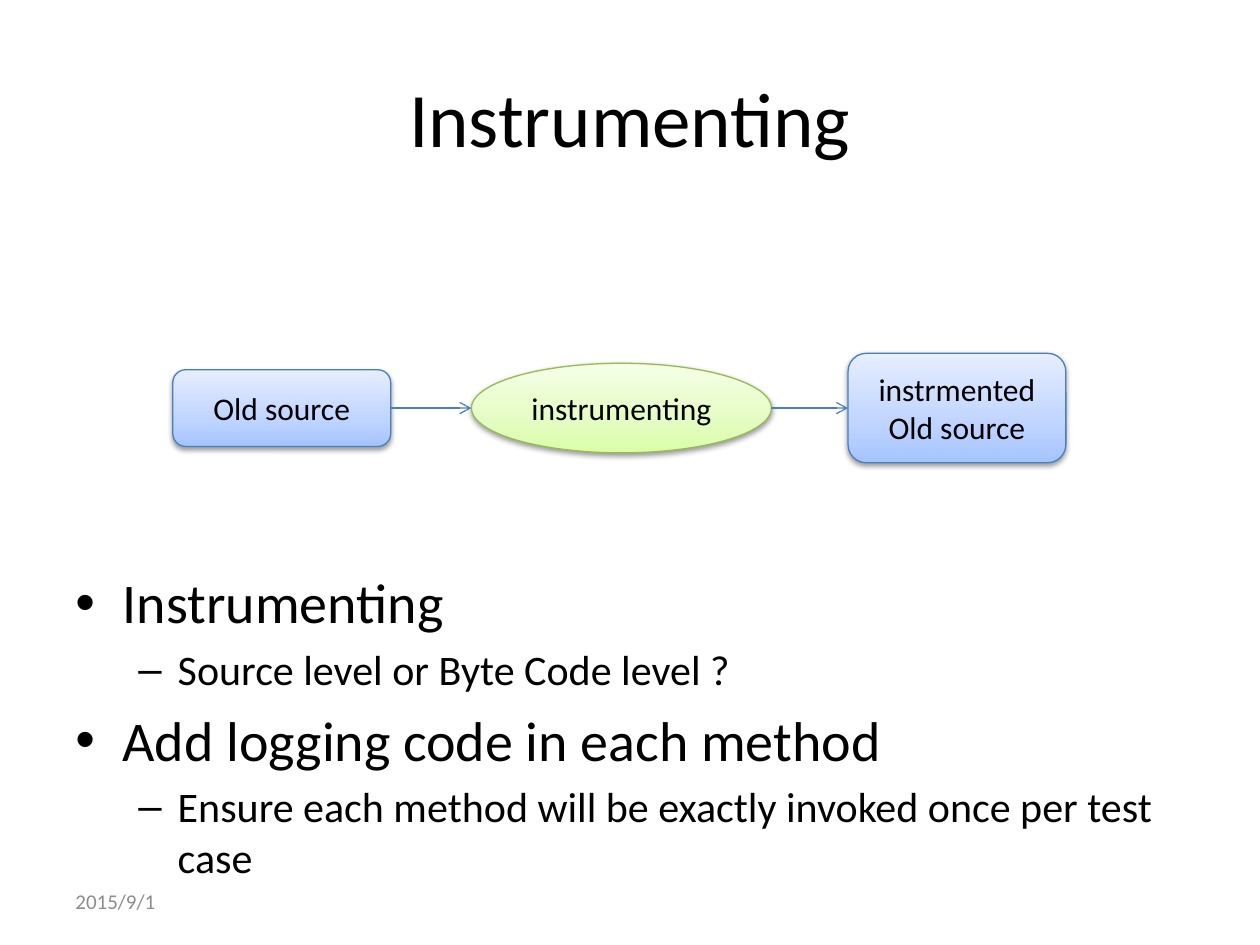
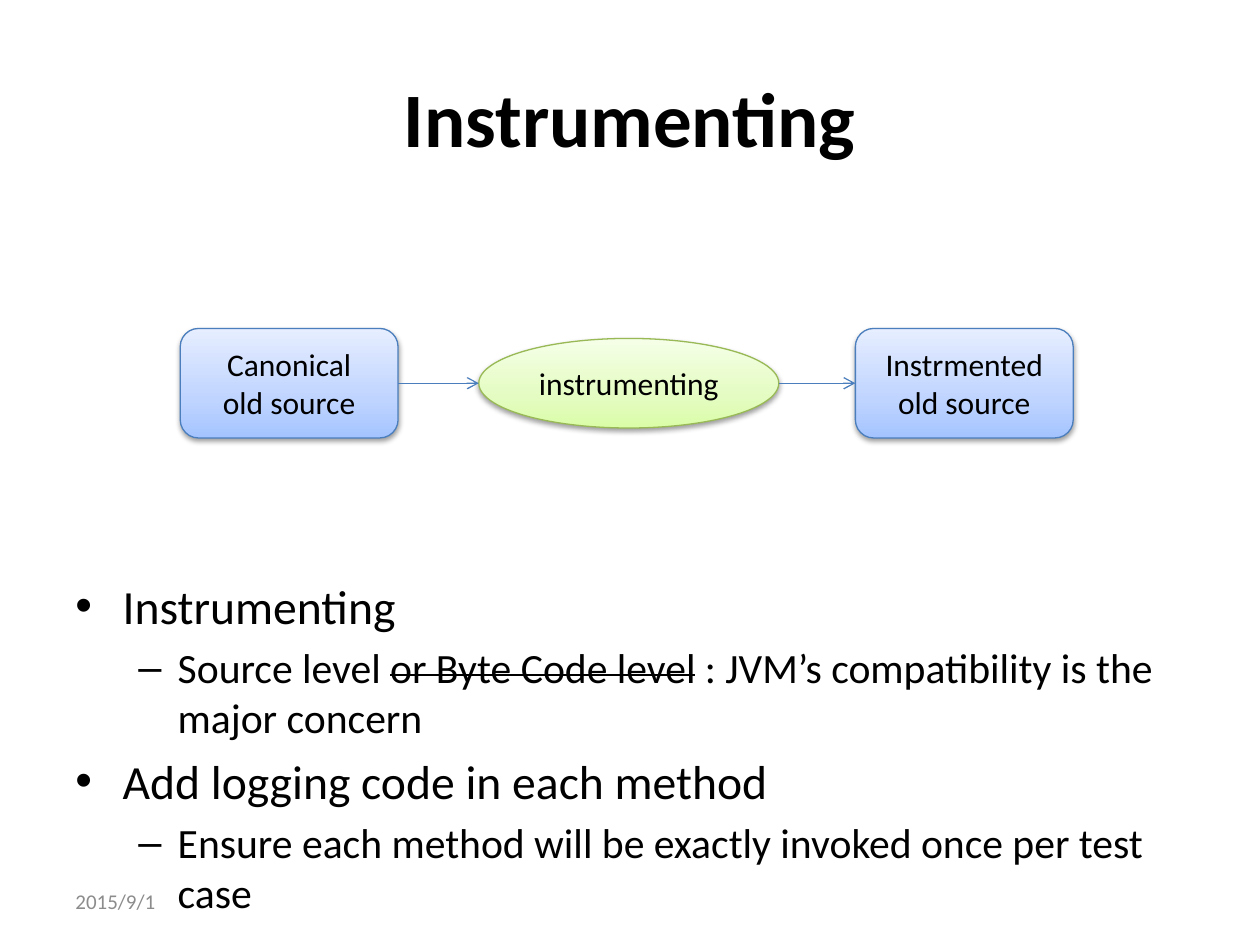
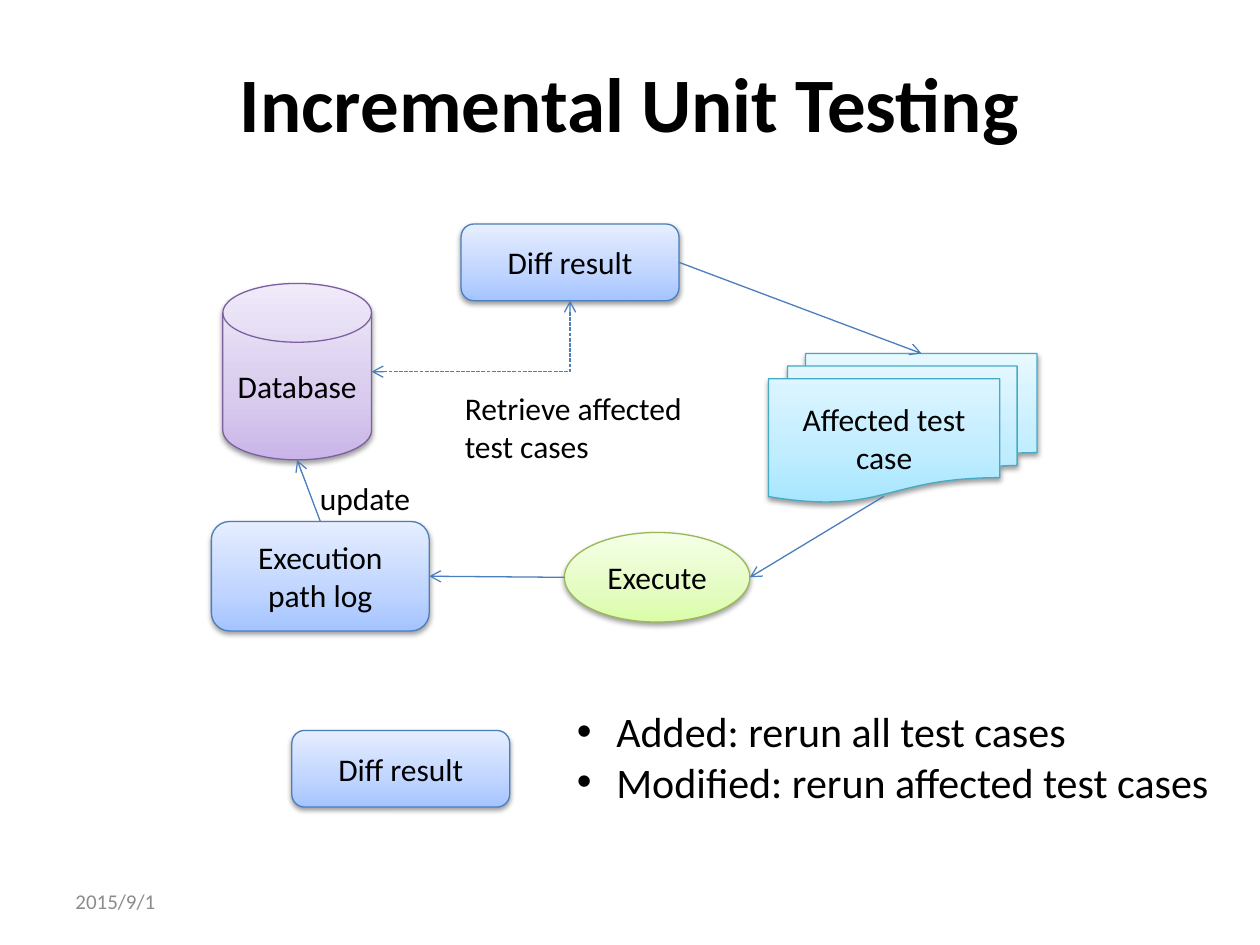
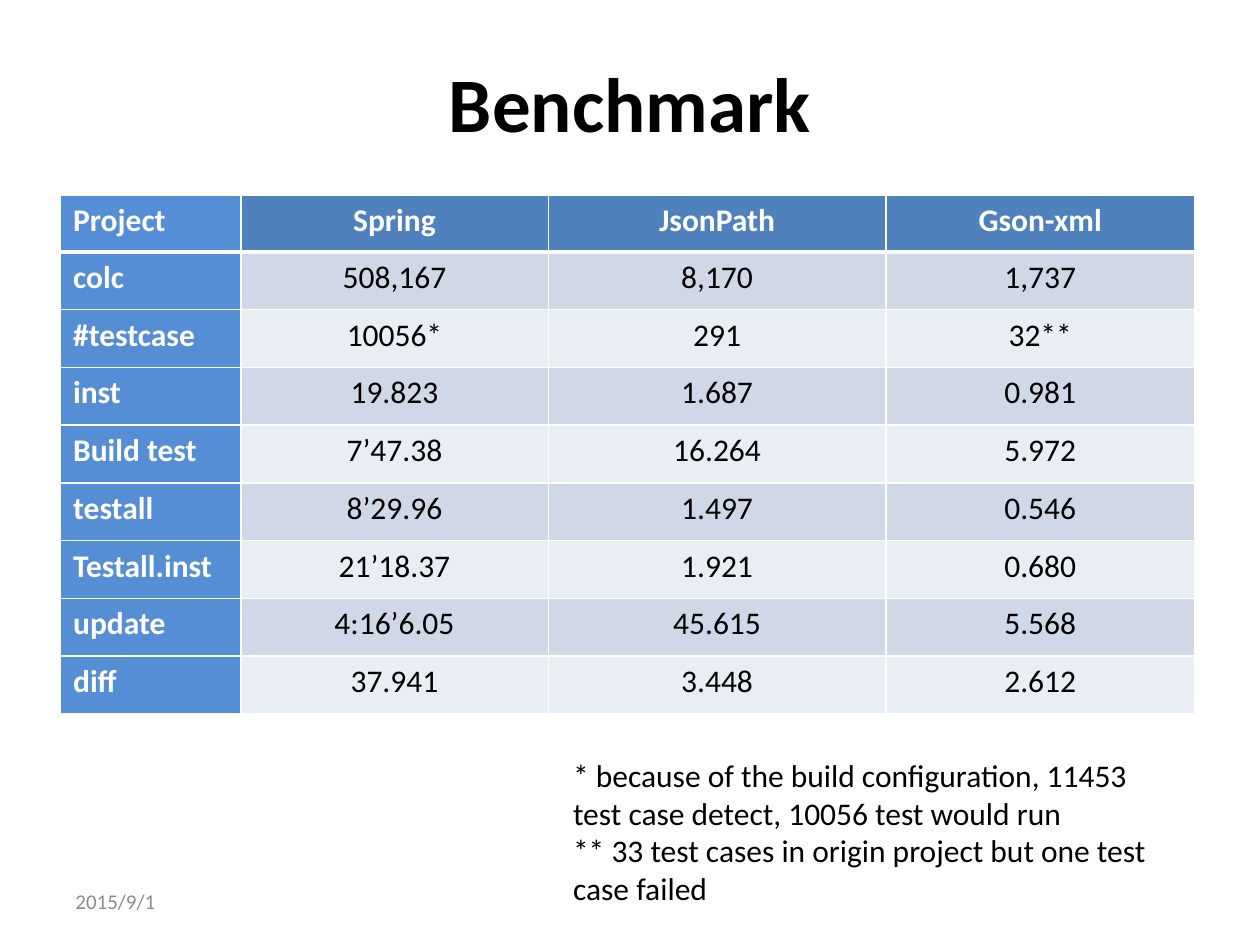
from pptx import Presentation
from pptx.dml.color import RGBColor
from pptx.enum.dml import MSO_LINE
from pptx.enum.shapes import MSO_CONNECTOR, MSO_SHAPE
from pptx.enum.text import MSO_ANCHOR, PP_ALIGN
from pptx.oxml import parse_xml
from pptx.oxml.ns import nsdecls, qn
from pptx.util import Pt

# Enum members
ROUND, OVAL = MSO_SHAPE.ROUNDED_RECTANGLE, MSO_SHAPE.OVAL
DISK = MSO_SHAPE.FLOWCHART_MAGNETIC_DISK
DOCS = MSO_SHAPE.FLOWCHART_MULTIDOCUMENT
STRAIGHT, ELBOW = MSO_CONNECTOR.STRAIGHT, MSO_CONNECTOR.ELBOW
DASH = MSO_LINE.SQUARE_DOT
LEFT, CENTER = PP_ALIGN.LEFT, PP_ALIGN.CENTER
TOP, MIDDLE = MSO_ANCHOR.TOP, MSO_ANCHOR.MIDDLE

# Colours
BLACK = RGBColor(0x00, 0x00, 0x00)
WHITE = RGBColor(0xFF, 0xFF, 0xFF)
GREY = RGBColor(0x8C, 0x8C, 0x8C)
EDGE = RGBColor(0x4B, 0x7E, 0xBC)
HEAD = RGBColor(0x4F, 0x81, 0xBD)
SIDE = RGBColor(0x55, 0x8E, 0xD5)
BANDS = RGBColor(0xD0, 0xD8, 0xE8), RGBColor(0xE9, 0xED, 0xF4)

# Looks: outline, then gradient from bottom to top
BLUE = EDGE, ("A4C4FF", "BFD4FF", "E6EEFF")
GREEN = RGBColor(0x98, 0xB9, 0x55), ("DAFDA7", "E4FCC2", "F5FFE7")
PURPLE = RGBColor(0x7D, 0x60, 0xA0), ("C9B5E8", "D8CBEE", "F0EAF9")
CYAN = RGBColor(0x46, 0xAA, 0xC5), ("A7E6FF", "C1EDFF", "E7F8FF")

# Flow chart sizes
BOX_W, LOW, TALL = 124.5, 43.8, 62.6
OVAL_W, OVAL_H = 171.4, 51.2


def site(shape, across, down):
    """Point on a shape, given as shares of its width and height, in points."""
    return (shape.left.pt + across * shape.width.pt,
            shape.top.pt + down * shape.height.pt)


class Deck:
    font = "Calibri"
    # Bullet levels: mark, left margin, hanging indent
    levels = (("•", 27, 27), ("–", 58.5, 22.5))

    def __init__(self):
        self.prs = Presentation()
        self.prs.slide_width, self.prs.slide_height = Pt(720), Pt(540)
        self.slide = None

    def page(self, title, bold=True, high=90):
        self.slide = self.prs.slides.add_slide(self.prs.slide_layouts[6])
        self.text((36, 21.6, 648, high), [title], 44, bold=bold,
                  align=CENTER, anchor=MIDDLE)
        self.text((36, 500.5, 168, 28.75), ["2015/9/1"], 12, GREY,
                  anchor=MIDDLE)

    def style(self, para, size, color=BLACK, bold=False, align=LEFT):
        para.alignment = align
        font = para.font
        font.name, font.size, font.bold = self.font, Pt(size), bold
        font.color.rgb = color

    def fill(self, frame, lines, size, color=BLACK, bold=False,
             align=LEFT, anchor=TOP):
        frame.word_wrap, frame.vertical_anchor = True, anchor
        for i, line in enumerate(lines):
            para = frame.add_paragraph() if i else frame.paragraphs[0]
            para.text = line
            self.style(para, size, color, bold, align)
        return frame

    def text(self, rect, lines, size, color=BLACK, **look):
        box = self.slide.shapes.add_textbox(*map(Pt, rect))
        return self.fill(box.text_frame, lines, size, color, **look)

    def bullet(self, para, mark, margin, hang):
        props = para._p.get_or_add_pPr()
        props.set("marL", str(Pt(margin)))
        props.set("indent", str(-Pt(hang)))
        props.append(parse_xml(f'<a:buFont {nsdecls("a")} typeface="Arial"/>'))
        props.append(parse_xml(f'<a:buChar {nsdecls("a")} char="{mark}"/>'))

    def outline(self, rect, items, sizes):
        """Items are (level, runs); every second run is struck through."""
        frame = self.text(rect, [""] * len(items), sizes[0])
        for para, (level, runs) in zip(frame.paragraphs, items):
            size = sizes[level]
            self.style(para, size)
            para.level, para.space_before = level, Pt(0.2 * size)
            self.bullet(para, *self.levels[level])
            for i, words in enumerate(runs):
                run = para.add_run()
                run.text = words
                if i % 2:
                    run.font._element.set("strike", "sngStrike")

    def node(self, kind, rect, look, *lines):
        edge, tints = look
        shape = self.slide.shapes.add_shape(kind, *map(Pt, rect))
        shape.line.color.rgb, shape.line.width = edge, Pt(0.75)
        # Gradient
        shape.fill.gradient()
        stops = "".join(
            f'<a:gs pos="{pos}000"><a:srgbClr val="{tint}"/></a:gs>'
            for pos, tint in zip((0, 35, 100), tints))
        props = shape._element.spPr
        props.replace(props.find(qn("a:gradFill")), parse_xml(
            f'<a:gradFill {nsdecls("a")} rotWithShape="1"><a:gsLst>{stops}'
            '</a:gsLst><a:lin ang="16200000" scaled="0"/></a:gradFill>'))
        # Soft shadow below
        shape.shadow.inherit = False
        props.find(qn("a:effectLst")).append(parse_xml(
            f'<a:outerShdw {nsdecls("a")} blurRad="{Pt(3.1)}" '
            f'dist="{Pt(1.6)}" dir="5400000" rotWithShape="0">'
            '<a:srgbClr val="000000"><a:alpha val="38000"/></a:srgbClr>'
            '</a:outerShdw>'))
        self.fill(shape.text_frame, lines, 18, align=CENTER, anchor=MIDDLE)
        return shape

    def arrow(self, start, end, kind=STRAIGHT, ends=("tail",), dash=None):
        link = self.slide.shapes.add_connector(kind, *map(Pt, start + end))
        link.line.color.rgb, link.line.width = EDGE, Pt(0.75)
        if dash:
            link.line.dash_style = dash
        props = link._element.spPr
        for name in ends:
            props.find(qn("a:ln")).append(parse_xml(
                f'<a:{name}End {nsdecls("a")} type="arrow"/>'))
        props.append(parse_xml(f'<a:effectLst {nsdecls("a")}/>'))
        return link

    def corner(self, start, end):
        """Dashed two-headed link that goes down, then left."""
        (x1, y1), (x2, y2) = start, end
        midx, midy = (x1 + x2) / 2, (y1 + y2) / 2
        dx, dy = (y2 - y1) / 2, (x1 - x2) / 2
        link = self.arrow((midx - dx, midy - dy), (midx + dx, midy + dy),
                          ELBOW, ("head", "tail"), DASH)
        props = link._element.spPr
        props.find(qn("a:xfrm")).set("rot", "5400000")
        props.find(qn("a:prstGeom")).set("prst", "bentConnector2")

    def flow(self, x, mid, first, last, high):
        """Source box, step, result box in a row centred on mid."""
        a = self.node(ROUND, (x, mid - high / 2, BOX_W, high), BLUE, *first)
        b = self.node(OVAL, (x + 170.6, mid - OVAL_H / 2, OVAL_W, OVAL_H),
                      GREEN, "instrumenting")
        c = self.node(ROUND, (x + 385.8, mid - TALL / 2, BOX_W, TALL),
                      BLUE, *last)
        for left, right in ((a, b), (b, c)):
            self.arrow(site(left, 1, 0.5), site(right, 0, 0.5))

    def border(self, cell, below):
        props = cell._tc.get_or_add_tcPr()
        for edge, width in zip("LRTB", (1, 1, 1, below)):
            props.append(parse_xml(
                f'<a:ln{edge} {nsdecls("a")} w="{Pt(width)}"><a:solidFill>'
                f'<a:srgbClr val="{WHITE}"/></a:solidFill></a:ln{edge}>'))

    def table(self, x, y, widths, heights, rows):
        table = self.slide.shapes.add_table(
            len(rows), len(widths), Pt(x), Pt(y),
            Pt(sum(widths)), Pt(sum(heights))).table
        for col, width in zip(table.columns, widths):
            col.width = Pt(width)
        for r, (row, high) in enumerate(zip(rows, heights)):
            table.rows[r].height = Pt(high)
            for c, words in enumerate(row):
                cell = table.cell(r, c)
                label = r == 0 or c == 0
                self.border(cell, 1 if r else 3)
                cell.fill.solid()
                cell.fill.fore_color.rgb = (
                    SIDE if c == 0 else BANDS[(r - 1) % 2] if r else HEAD)
                cell.text = words
                self.style(cell.text_frame.paragraphs[0], 18,
                           WHITE if label else BLACK, label,
                           CENTER if c else LEFT)


deck = Deck()
LOGGING = [
    (0, ["Add logging code in each method"]),
    (1, ["Ensure each method will be exactly invoked once per test case"]),
]

# Slide 1: instrumenting, open question
deck.page("Instrumenting", bold=False)
deck.flow(98.8, 233.2, ["Old source"], ["instrmented", "Old source"], LOW)
deck.outline((36, 321, 648, 187), [
    (0, ["Instrumenting"]),
    (1, ["Source level or Byte Code level ?"]),
] + LOGGING, (32, 24))

# Slide 2: instrumenting, decision
deck.page("Instrumenting")
deck.flow(103, 219, ["Canonical", "old source"],
          ["Instrmented", "old source"], TALL)
deck.outline((36, 326, 648, 174), [
    (0, ["Instrumenting"]),
    (1, ["Source level ", "or Byte Code level",
         " : JVM’s compatibility is the major concern"]),
] + LOGGING, (27.2, 23.8))

# Slide 3: test cycle
deck.page("Incremental Unit Testing", high=72.7)
base = deck.node(DISK, (127.3, 162, 85, 100.8), PURPLE, "Database")
diff = deck.node(ROUND, (263.5, 128, BOX_W, LOW), BLUE, "Diff result")
cases = deck.node(DOCS, (439.2, 202, 153.4, 85), CYAN, "Affected test case")
run = deck.node(OVAL, (322.5, 304.3, 106, OVAL_H), GREEN, "Execute")
log = deck.node(ROUND, (120.8, 298, BOX_W, TALL), BLUE, "Execution path log")
deck.corner(site(diff, 0.5, 1), site(base, 1, 0.5))
for start, end in (
    (site(diff, 1, 0.5), site(cases, 0.57, 0)),
    (site(cases, 0.43, 0.96), site(run, 1, 0.5)),
    (site(run, 0, 0.5), site(log, 1, 0.5)),
    (site(log, 0.5, 0), site(base, 0.5, 1)),
):
    deck.arrow(start, end)
deck.text((258.5, 219, 157.7, 51), ["Retrieve affected", "test cases"], 18)
deck.text((175.7, 270, 70, 29), ["update"], 18)

# Rule for each kind of difference
deck.node(ROUND, (166.8, 417.4, BOX_W, LOW), BLUE, "Diff result")
rules = deck.text((322.6, 399.8, 381, 65.5), [
    "Added: rerun all test cases",
    "Modified: rerun affected test cases",
], 24)
for para in rules.paragraphs:
    deck.bullet(para, "•", 22.5, 22.5)

# Slide 4: benchmark
deck.page("Benchmark", high=72.7)
ROWS = [
    ("Project", "Spring", "JsonPath", "Gson-xml"),
    ("colc", "508,167", "8,170", "1,737"),
    ("#testcase", "10056*", "291", "32**"),
    ("inst", "19.823", "1.687", "0.981"),
    ("Build test", "7’47.38", "16.264", "5.972"),
    ("testall", "8’29.96", "1.497", "0.546"),
    ("Testall.inst", "21’18.37", "1.921", "0.680"),
    ("update", "4:16’6.05", "45.615", "5.568"),
    ("diff", "37.941", "3.448", "2.612"),
]
deck.table(34.6, 111.4, (103, 175.7, 193, 176.3), [32.6] + [33] * 8, ROWS)
deck.text((320.4, 428.4, 360, 94.5), [
    "* because of the build configuration, 11453 test case detect, "
    "10056 test would run",
    "** 33 test cases in origin project but one test case failed",
], 18)

deck.prs.save("out.pptx")
